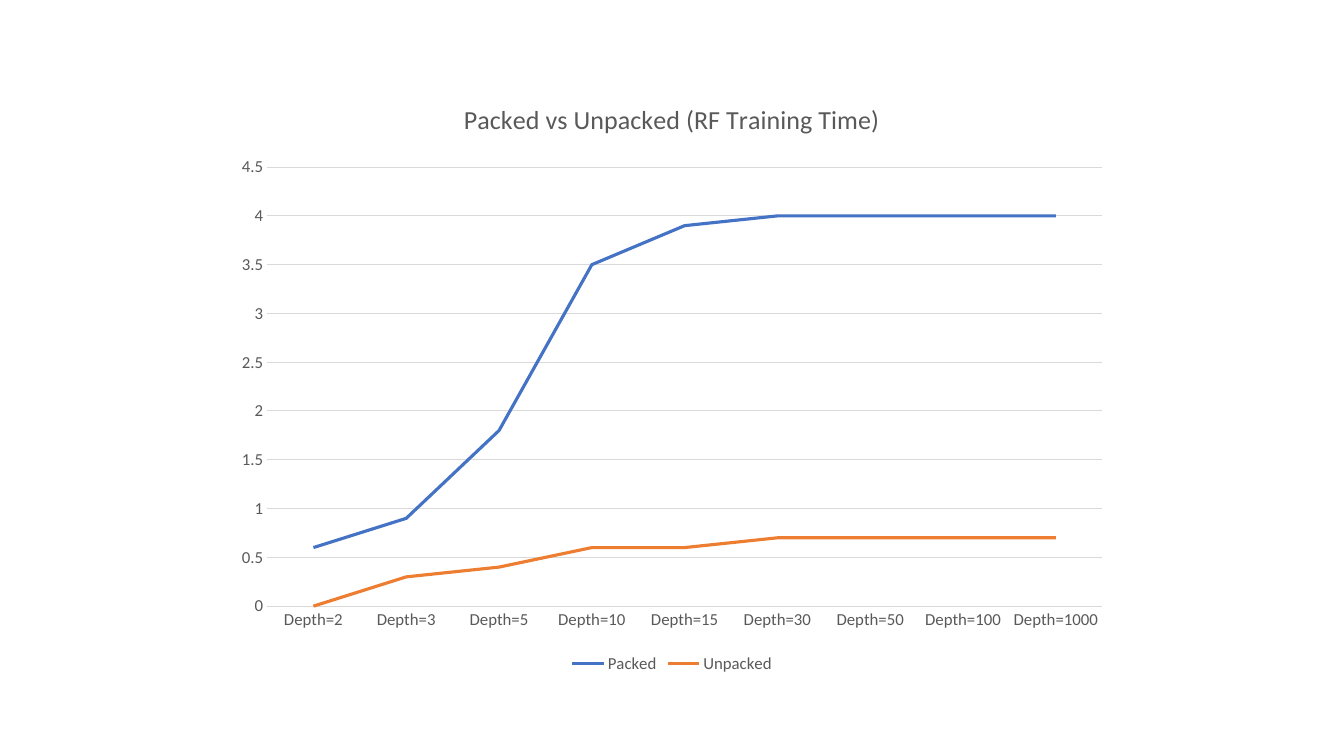
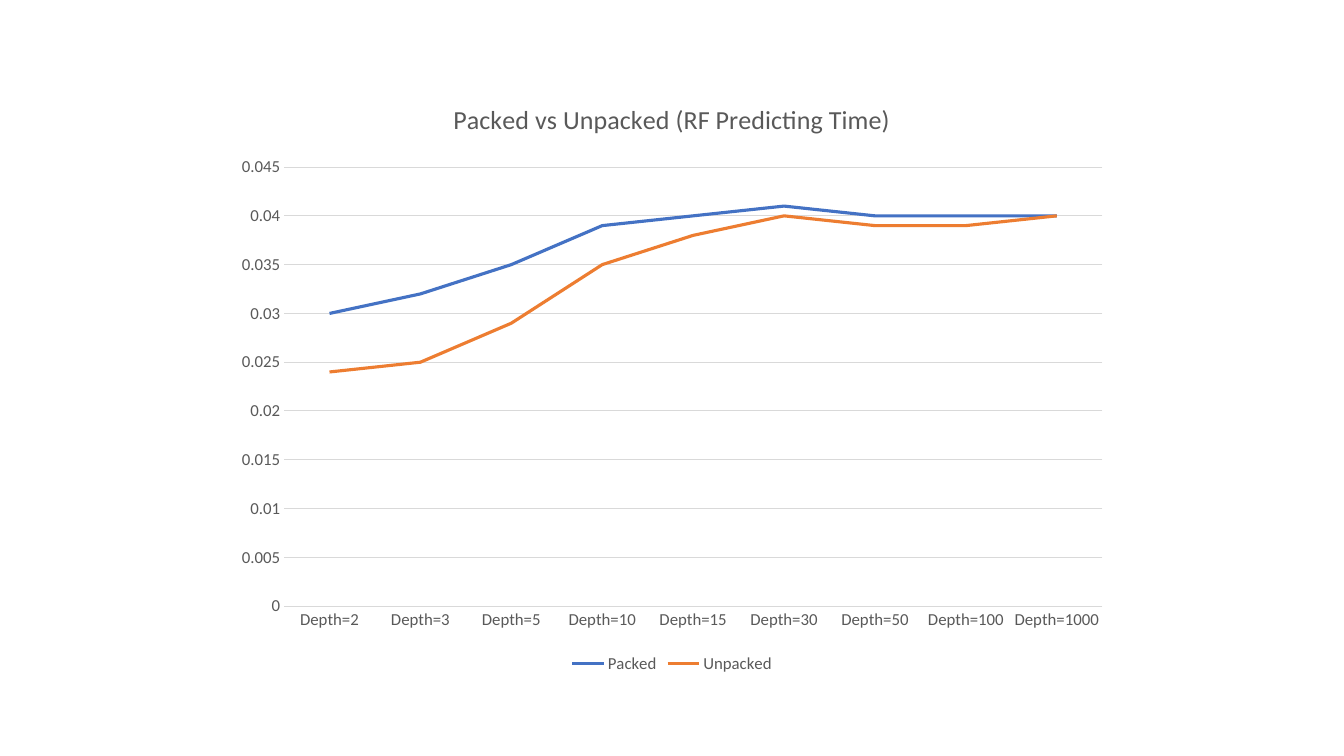
from dataclasses import dataclass

import pptx
import pptx.chart.axis
import pptx.chart.chart
import pptx.chart.data
import pptx.dml.color
import pptx.enum.chart
import pptx.presentation
import pptx.text.text
import pptx.util
from pptx.util import Inches

# Shared style
FONT = "Calibri"
GREY = "595959"
GRID = "D9D9D9"
COLORS = {"Packed": "4472C4", "Unpacked": "ED7D31"}
DEPTHS = [f"Depth={n}" for n in (2, 3, 5, 10, 15, 30, 50, 100, 1000)]


@dataclass(frozen=True)
class Plot:
    title: str
    packed: list[float]
    loose: list[float]
    top: float
    step: float


PLOTS = [
    Plot("Packed vs Unpacked (RF Training Time)",
         [0.6, 0.9, 1.8, 3.5, 3.9, 4, 4, 4, 4],
         [0, 0.3, 0.4, 0.6, 0.6, 0.7, 0.7, 0.7, 0.7],
         4.5, 0.5),
    Plot("Packed vs Unpacked (RF Predicting Time)",
         [0.03, 0.032, 0.035, 0.039, 0.04, 0.041, 0.04, 0.04, 0.04],
         [0.024, 0.025, 0.029, 0.035, 0.038, 0.04, 0.039, 0.039, 0.04],
         0.045, 0.005),
]


def color(code: str) -> pptx.dml.color.RGBColor:
    return pptx.dml.color.RGBColor.from_string(code)


def set_font(font: pptx.text.text.Font, size: float) -> None:
    font.name = FONT
    font.size = pptx.util.Pt(size)
    font.bold = False
    font.color.rgb = color(GREY)


def set_line(line: pptx.dml.line.LineFormat, code: str, width: float) -> None:
    line.color.rgb = color(code)
    line.width = pptx.util.Pt(width)


def style_axes(chart: pptx.chart.chart.Chart, plot: Plot) -> None:
    for axis in (chart.category_axis, chart.value_axis):
        axis.major_tick_mark = pptx.enum.chart.XL_TICK_MARK.NONE
        axis.minor_tick_mark = pptx.enum.chart.XL_TICK_MARK.NONE
        set_font(axis.tick_labels.font, 12)
    set_line(chart.category_axis.format.line, GRID, 0.75)

    scale = chart.value_axis
    scale.minimum_scale = 0
    scale.maximum_scale = plot.top
    scale.major_unit = plot.step
    scale.format.line.fill.background()
    set_line(scale.major_gridlines.format.line, GRID, 0.75)


def add_plot(deck: pptx.presentation.Presentation, plot: Plot) -> None:
    # Blank slide with one line chart
    slide = deck.slides.add_slide(deck.slide_layouts[6])
    data = pptx.chart.data.CategoryChartData()
    data.categories = DEPTHS
    for name, values in zip(COLORS, (plot.packed, plot.loose)):
        data.add_series(name, values)
    chart = slide.shapes.add_chart(
        pptx.enum.chart.XL_CHART_TYPE.LINE,
        Inches(2.22), Inches(0.79), Inches(8.89), Inches(5.93), data).chart

    # Title and legend
    chart.has_title = True
    frame = chart.chart_title.text_frame
    frame.text = plot.title
    set_font(frame.paragraphs[0].font, 18.6)
    chart.chart_title.include_in_layout = False
    chart.has_legend = True
    chart.legend.position = pptx.enum.chart.XL_LEGEND_POSITION.BOTTOM
    chart.legend.include_in_layout = False
    set_font(chart.legend.font, 12)

    # Axes and lines
    style_axes(chart, plot)
    chart.plots[0].vary_by_categories = False
    for series in chart.plots[0].series:
        series.smooth = False
        series.marker.style = pptx.enum.chart.XL_MARKER_STYLE.NONE
        set_line(series.format.line, COLORS[series.name], 2.25)


# Build the deck
deck = pptx.Presentation()
deck.slide_width = Inches(13.33)
deck.slide_height = Inches(7.5)
for plot in PLOTS:
    add_plot(deck, plot)
deck.save("out.pptx")
